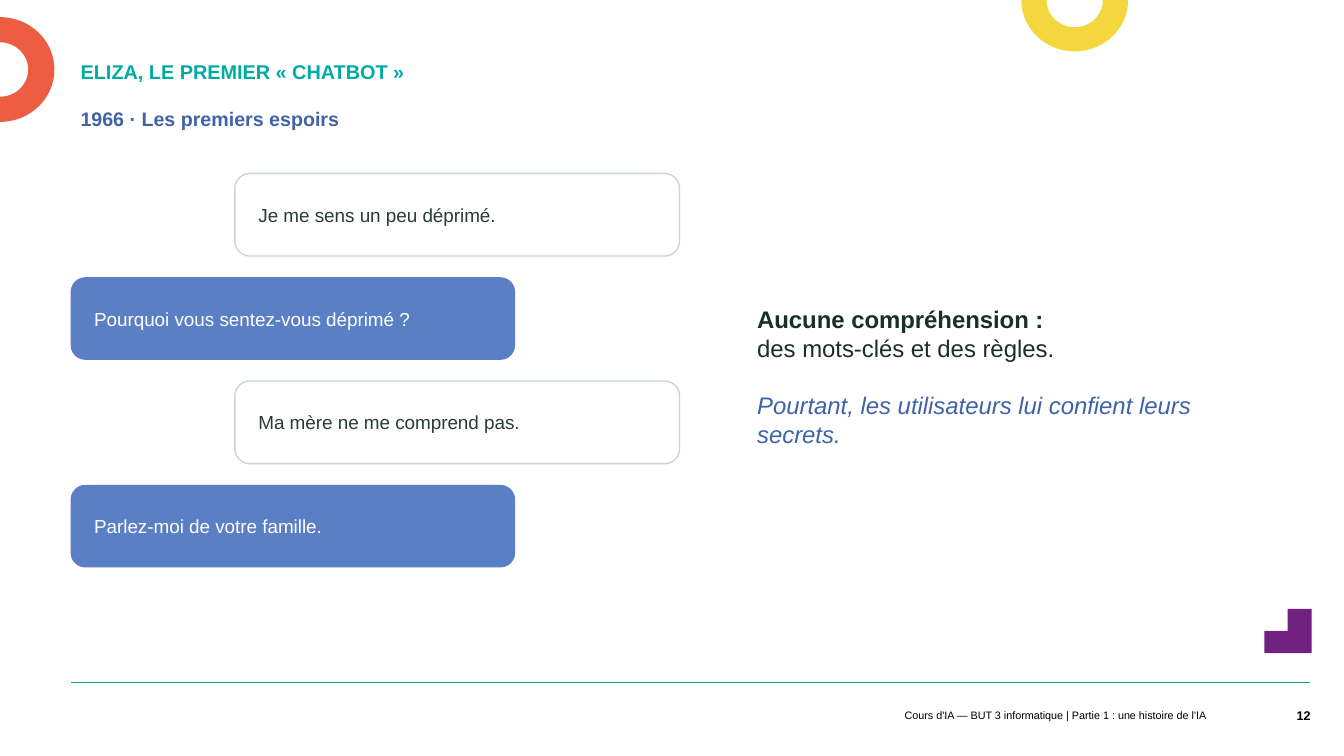
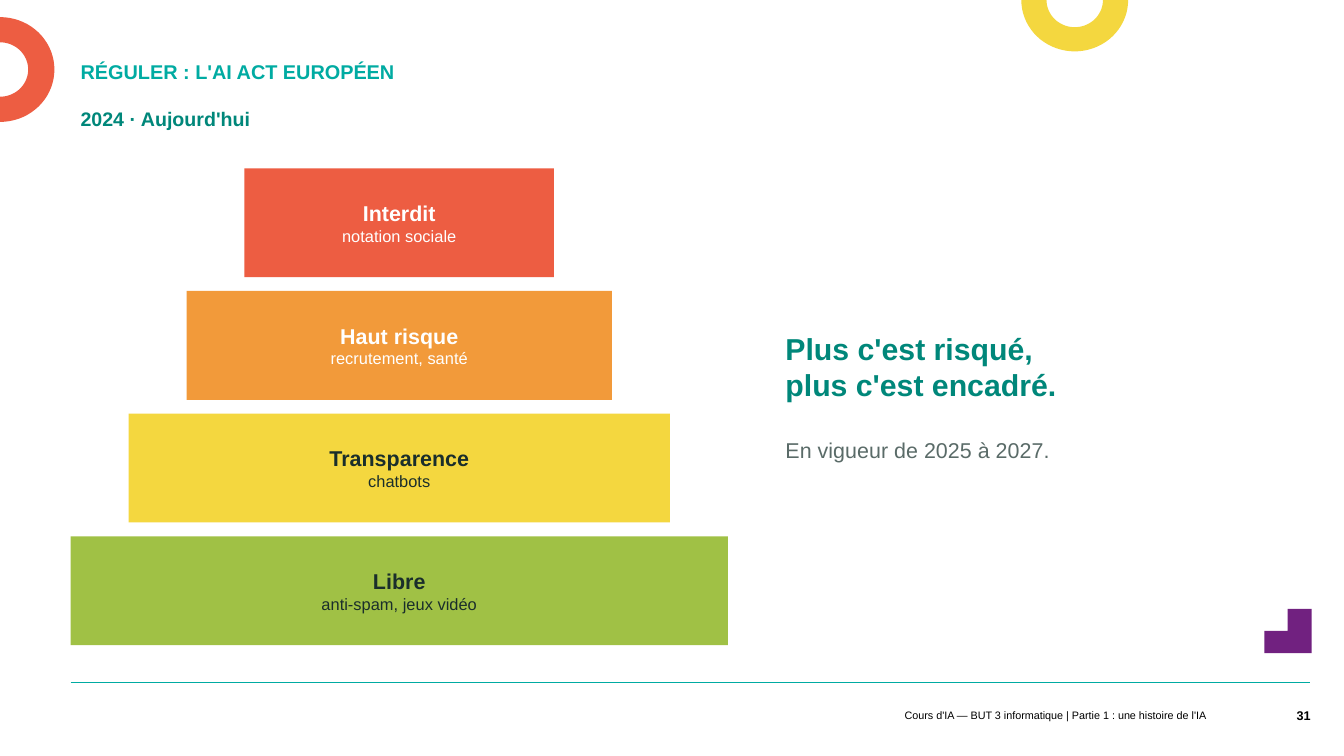
import math

from lxml import etree
from pptx import Presentation
from pptx import util as u
from pptx.dml.color import RGBColor
from pptx.enum import shapes, text
from pptx.oxml.ns import qn

SCALE = 9144  # EMU in one px: 100 px to the inch
FONT = "Arial"
COLORS = {
    "teal": "00ABA2", "green": "00877A", "blue": "3F63A8", "bubble": "5B7FC4",
    "outline": "C9D6D4", "orange": "F29A3A", "red": "ED5D42", "yellow": "F4D73F",
    "lime": "A0C145", "purple": "712180", "dark": "1A2E2B", "slate": "2B3A38",
    "gray": "5A6B68", "black": "000000", "white": "FFFFFF",
}
FOOTER = "Cours d'IA — BUT 3 informatique | Partie 1 : une histoire de l'IA"
ALIGN = text.PP_ALIGN
ANCHOR = text.MSO_ANCHOR
SHAPE = shapes.MSO_SHAPE


def px(value):
    return u.Emu(round(value * SCALE))


def rgb(name):
    return RGBColor.from_string(COLORS[name])


def place(shape, box):
    shape.left, shape.top, shape.width, shape.height = map(px, box)


def set_frame(shape, insets=(0, 0, 0, 0), anchor=ANCHOR.MIDDLE):
    frame = shape.text_frame
    frame.word_wrap = True
    frame.auto_size = text.MSO_AUTO_SIZE.NONE
    frame.vertical_anchor = anchor
    (frame.margin_left, frame.margin_top,
     frame.margin_right, frame.margin_bottom) = map(px, insets)
    return frame


def write(frame, words, size, color, bold=False, italic=False,
          align=ALIGN.LEFT, before=0, spacing=None):
    """Fill the empty first paragraph of the frame, or add one after the last."""
    para = frame.paragraphs[0]
    if para.runs:
        para = frame.add_paragraph()
    para.alignment = align
    para.space_before = u.Pt(before)
    if spacing:
        para.line_spacing = spacing
    span = para.add_run()
    span.text = words
    span.font.name = FONT
    span.font.size = u.Pt(size)
    span.font.bold = bold
    span.font.italic = italic
    span.font.color.rgb = rgb(color)


def add_text_box(page, box, **frame_format):
    return set_frame(page.shapes.add_textbox(*map(px, box)), **frame_format)


def paint(shape, fill, line=None):
    shape.shadow.inherit = False
    shape.fill.solid()
    shape.fill.fore_color.rgb = rgb(fill)
    if line:
        shape.line.color.rgb = rgb(line)
        shape.line.width = u.Pt(1)
    else:
        shape.line.fill.background()


def add_shape(page, kind, box, fill, line=None):
    shape = page.shapes.add_shape(kind, *map(px, box))
    paint(shape, fill, line)
    return shape


def add_outline(page, points, fill):
    corners = [(px(x), px(y)) for x, y in points]
    builder = page.shapes.build_freeform(*corners[0])
    builder.add_line_segments(corners[1:], close=True)
    paint(builder.convert_to_shape(), fill)


def add_half_ring(page, center, outer, inner, start, fill):
    """Draw half an elliptic ring, clockwise from the start angle in degrees."""
    def arc(radii, degrees):
        return [(center[0] + radii[0] * math.cos(math.radians(angle)),
                 center[1] + radii[1] * math.sin(math.radians(angle)))
                for angle in degrees]

    degrees = range(start, start + 181, 5)
    add_outline(page, arc(outer, degrees) + arc(inner, reversed(degrees)), fill)


def add_decor(page):
    add_half_ring(page, (1066, 0), (53, 51), (28, 27), 0, "yellow")
    add_half_ring(page, (0, 69), (54, 52), (28, 27), -90, "red")
    add_outline(page, [(1277, 604), (1301, 604), (1301, 648), (1254, 648),
                       (1254, 626), (1277, 626)], "purple")


def add_footer(page, number):
    rule = page.shapes.add_connector(
        shapes.MSO_CONNECTOR.STRAIGHT, *map(px, (70, 677, 1299, 677)))
    rule.line.color.rgb = rgb("teal")
    rule.line.width = u.Pt(0.5)
    etree.SubElement(rule.element.spPr, qn("a:effectLst"))
    frame = add_text_box(page, (543, 698, 663, 23), insets=(10, 5, 10, 5))
    write(frame, FOOTER, 7.7, "black", align=ALIGN.RIGHT)
    frame = add_text_box(page, (1245, 690, 55, 40), insets=(10, 5, 0, 5))
    write(frame, str(number), 9, "black", bold=True, align=ALIGN.RIGHT)


def add_page(deck, title, period, accent, number):
    page = deck.slides.add_slide(deck.slide_layouts.get_by_name("Title Only"))
    add_decor(page)
    place(page.shapes.title, (70, 54, 972, 34))
    frame = set_frame(page.shapes.title, (10, 5, 10, 5), ANCHOR.BOTTOM)
    write(frame, title, 14.2, "teal", bold=True, spacing=u.Pt(16.7))
    frame = add_text_box(page, (70, 104, 972, 46), insets=(10, 5, 10, 5),
                         anchor=ANCHOR.TOP)
    write(frame, period, 14, accent, bold=True, spacing=0.9)
    add_footer(page, number)
    return page


def add_dialogue(page, box, lines):
    """Stack bubbles: the user on the right, the program on the left."""
    left, top, width, height = box
    bubble_width, bubble_height = 441, 82
    pitch = (height - bubble_height) / (len(lines) - 1)
    for index, words in enumerate(lines):
        is_user = index % 2 == 0
        x = left + width - bubble_width if is_user else left
        bubble = add_shape(page, SHAPE.ROUNDED_RECTANGLE,
                           (x, top + index * pitch, bubble_width, bubble_height),
                           "white" if is_user else "bubble",
                           "outline" if is_user else None)
        bubble.adjustments[0] = 0.18
        write(set_frame(bubble, (19, 0, 19, 0)), words, 13.5,
              "slate" if is_user else "white")


def add_pyramid(page, box, levels):
    """Stack centred bars that widen evenly down to the width of the box."""
    left, top, width, height = box
    bar_height, widening = 108, 115
    pitch = (height - bar_height) / (len(levels) - 1)
    for index, (name, example, fill, color) in enumerate(levels):
        bar_width = width - widening * (len(levels) - 1 - index)
        bar = add_shape(page, SHAPE.RECTANGLE,
                        (left + (width - bar_width) / 2, top + index * pitch,
                         bar_width, bar_height), fill)
        frame = set_frame(bar, (10, 0, 10, 0))
        write(frame, name, 15.3, color, bold=True, align=ALIGN.CENTER)
        write(frame, example, 11.7, color, align=ALIGN.CENTER)


def build_eliza(deck):
    page = add_page(deck, "ELIZA, LE PREMIER « CHATBOT »",
                    "1966 · Les premiers espoirs", "blue", 12)
    add_dialogue(page, (70, 172, 604, 391), [
        "Je me sens un peu déprimé.",
        "Pourquoi vous sentez-vous déprimé ?",
        "Ma mère ne me comprend pas.",
        "Parlez-moi de votre famille.",
    ])
    frame = add_text_box(page, (751, 188, 479, 371))
    write(frame, "Aucune compréhension :", 17.1, "dark", bold=True)
    write(frame, "des mots-clés et des règles.", 17.1, "dark")
    write(frame, "Pourtant, les utilisateurs lui confient leurs secrets.",
          17.1, "blue", italic=True, before=20)


def build_ai_act(deck):
    page = add_page(deck, "RÉGULER : L'AI ACT EUROPÉEN",
                    "2024 · Aujourd'hui", "green", 31)
    add_pyramid(page, (70, 167, 652, 473), [
        ("Interdit", "notation sociale", "red", "white"),
        ("Haut risque", "recrutement, santé", "orange", "white"),
        ("Transparence", "chatbots", "yellow", "dark"),
        ("Libre", "anti-spam, jeux vidéo", "lime", "dark"),
    ])
    frame = add_text_box(page, (779, 198, 451, 391))
    write(frame, "Plus c'est risqué,", 21.6, "green", bold=True)
    write(frame, "plus c'est encadré.", 21.6, "green", bold=True)
    write(frame, "En vigueur de 2025 à 2027.", 15.3, "gray", before=25)


def main():
    deck = Presentation()
    deck.slide_width, deck.slide_height = px(1333), px(750)
    build_eliza(deck)
    build_ai_act(deck)
    deck.save("out.pptx")


if __name__ == "__main__":
    main()
